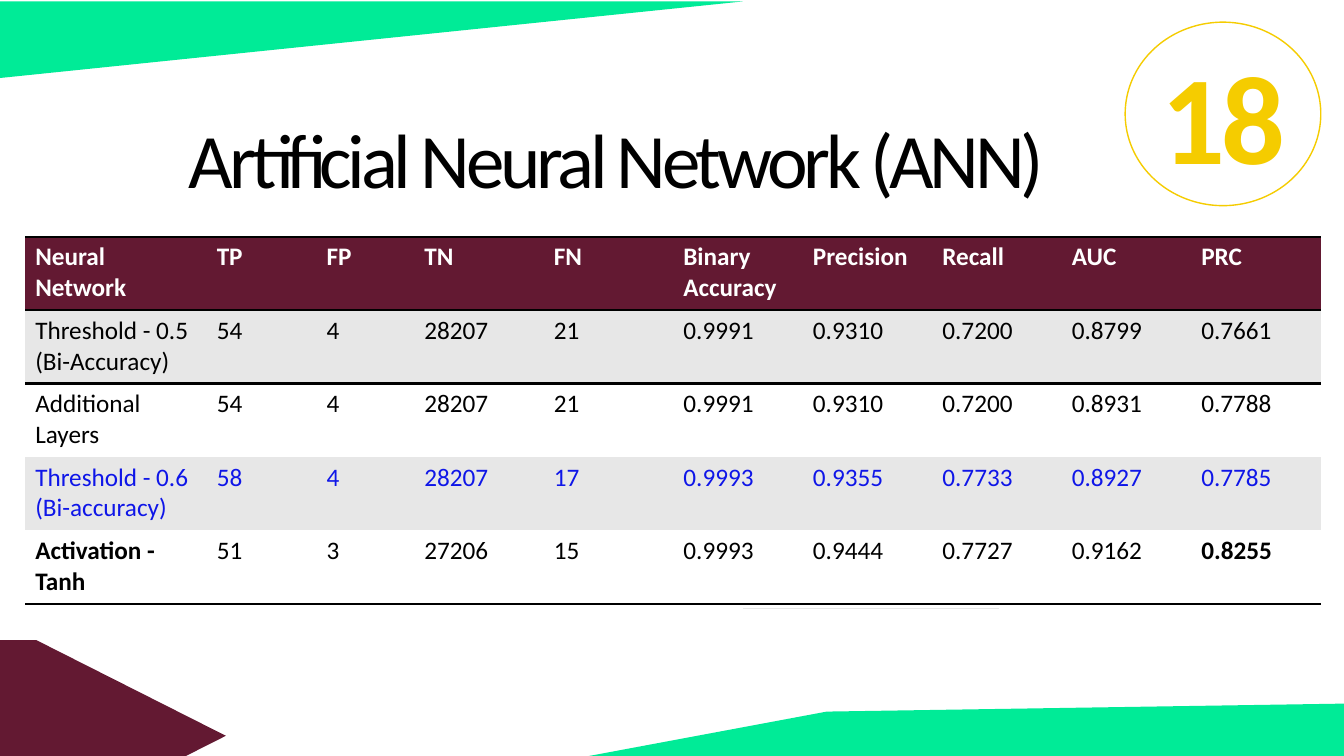
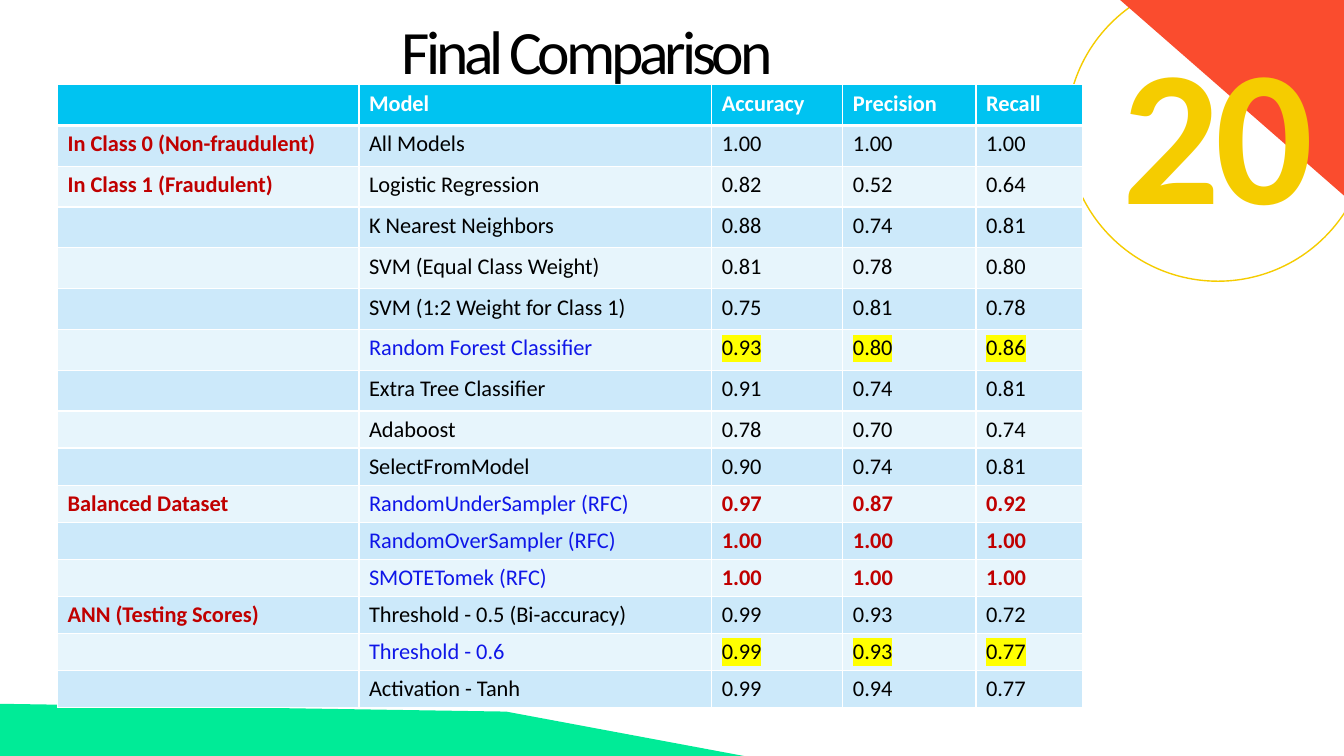
from pptx import Presentation
from pptx import util as u
from pptx.dml.color import RGBColor
from pptx.enum import shapes, text
from pptx.oxml.ns import qn
from lxml import etree


class Theme:
    font = "Calibri"
    black, white, blue, red = "000000", "FFFFFF", "0F16E8", "C00000"
    green, maroon, coral, gold = "00EB97", "631932", "FA4C2E", "F5CC00"
    cyan, sky, pale_sky, grey, yellow = "00C3F1", "CCE9FA", "E7F5FC", "E7E7E7", "FFFF00"
    size_ann_title, size_comparison_title = 55, 44
    size_ann_number, size_comparison_number = 90, 138
    size_ann_cell, size_comparison_cell = 18, 16
    tight = -300
    no_table_style = "{2D5ABB26-0587-4C30-8999-92F81FD0307C}"


def format_run(run, size, colour=Theme.black, bold=False, spacing=0, highlight=None):
    run.font.size = u.Pt(size)
    run.font.bold = bold
    run.font.color.rgb = RGBColor.from_string(colour)
    run.font.name = Theme.font
    properties = run.font._element
    if spacing:
        properties.set("spc", str(spacing))
    if highlight:
        marker = etree.Element(qn("a:highlight"))
        etree.SubElement(marker, qn("a:srgbClr"), val=highlight)
        properties.find(qn("a:solidFill")).addnext(marker)


def add_border(cell, side, colour, width):
    line = etree.SubElement(cell._tc.get_or_add_tcPr(), qn(f"a:ln{side}"), w=str(u.Pt(width)))
    fill = etree.SubElement(line, qn("a:solidFill"))
    etree.SubElement(fill, qn("a:srgbClr"), val=colour)


presentation = Presentation()
presentation.slide_width = u.Inches(13.33)
presentation.slide_height = u.Inches(7.5)
blank = presentation.slide_layouts[6]
ann = presentation.slides.add_slide(blank)
comparison = presentation.slides.add_slide(blank)

# Green bottom bands, the second mirrored
band = [(13.37, 7.51), (13.38, 6.98), (8.2, 7.06), (5.79, 7.51)]
mirrored_band = [(13.22 - x, y) for x, y in band]
for slide, points in ((ann, band), (comparison, mirrored_band)):
    corners = [(u.Inches(x), u.Inches(y)) for x, y in points]
    builder = slide.shapes.build_freeform(*corners[0], scale=1.0)
    builder.add_line_segments(corners[1:], close=True)
    shape = builder.convert_to_shape()
    shape.shadow.inherit = False
    shape.fill.solid()
    shape.fill.fore_color.rgb = RGBColor.from_string(Theme.green)
    shape.line.fill.background()

# Corner shapes and number rings
preset = shapes.MSO_SHAPE
decorations = [
    (ann, preset.PENTAGON, (-0.35, 6.35, 2.59, 1.9), 0, Theme.maroon),
    (ann, preset.RIGHT_TRIANGLE, (3.3, -3.29, 0.76, 7.37), 90, Theme.green),
    (ann, preset.OVAL, (11.16, 0.22, 1.94, 1.82), 0, None),
    (comparison, preset.OVAL, (10.58, -0.21, 3, 3), 0, None),
    (comparison, preset.RIGHT_TRIANGLE, (11.11, 0, 2.22, 1.94), 180, Theme.coral),
]
for slide, kind, box, rotation, colour in decorations:
    shape = slide.shapes.add_shape(kind, *map(u.Inches, box))
    shape.shadow.inherit = False
    shape.rotation = rotation
    if kind == preset.PENTAGON:
        shape.adjustments[0] = 0.99
    if colour:
        shape.fill.solid()
        shape.fill.fore_color.rgb = RGBColor.from_string(colour)
        shape.line.fill.background()
    else:
        shape.fill.background()
        shape.line.color.rgb = RGBColor.from_string(Theme.gold)
        shape.line.width = u.Pt(1)

# Hairline below the network table
hairline = ann.shapes.add_connector(
    shapes.MSO_CONNECTOR.STRAIGHT,
    u.Inches(7.37), u.Inches(6.04), u.Inches(9.91), u.Inches(6.04))
hairline.line.color.rgb = RGBColor.from_string(Theme.grey)
hairline.line.width = u.Pt(0.5)
etree.SubElement(hairline._element.spPr, qn("a:effectLst"))

# Titles and slide numbers
labels = [
    (ann, "Artificial Neural Network (ANN)", (1.16, 1.05, 9.91, 1.03),
     Theme.size_ann_title, Theme.black, False),
    (ann, "18", (11.35, 0.32, 1.57, 1.62), Theme.size_ann_number, Theme.gold, True),
    (comparison, "Final Comparison", (3.78, 0.07, 4.09, 0.84),
     Theme.size_comparison_title, Theme.black, False),
    (comparison, "20", (10.87, 0.05, 2.42, 2.42),
     Theme.size_comparison_number, Theme.gold, True),
]
for slide, words, box, size, colour, bold in labels:
    text_frame = slide.shapes.add_textbox(*map(u.Inches, box)).text_frame
    text_frame.word_wrap = True
    text_frame.vertical_anchor = text.MSO_ANCHOR.MIDDLE
    text_frame.text = words
    paragraph = text_frame.paragraphs[0]
    paragraph.alignment = text.PP_ALIGN.CENTER
    format_run(paragraph.runs[0], size, colour, bold, Theme.tight)

# Table contents
ann_rows = [
    ["Neural Network", "TP", "FP", "TN", "FN", "Binary Accuracy",
     "Precision", "Recall", "AUC", "PRC"],
    ["Threshold - 0.5\n(Bi-Accuracy)", "54", "4", "28207", "21",
     "0.9991", "0.9310", "0.7200", "0.8799", "0.7661"],
    ["Additional Layers", "54", "4", "28207", "21",
     "0.9991", "0.9310", "0.7200", "0.8931", "0.7788"],
    ["Threshold - 0.6\n(Bi-accuracy)", "58", "4", "28207", "17",
     "0.9993", "0.9355", "0.7733", "0.8927", "0.7785"],
    ["Activation - Tanh", "51", "3", "27206", "15",
     "0.9993", "0.9444", "0.7727", "0.9162", "0.8255"],
]
comparison_rows = [
    ["", "Model", "Accuracy", "Precision", "Recall"],
    ["In Class 0 (Non-fraudulent)", "All Models", "1.00", "1.00", "1.00"],
    ["In Class 1 (Fraudulent)", "Logistic Regression", "0.82", "0.52", "0.64"],
    ["", "K Nearest Neighbors", "0.88", "0.74", "0.81"],
    ["", "SVM (Equal Class Weight)", "0.81", "0.78", "0.80"],
    ["", "SVM (1:2 Weight for Class 1)", "0.75", "0.81", "0.78"],
    ["", "Random Forest Classifier", "0.93", "0.80", "0.86"],
    ["", "Extra Tree Classifier", "0.91", "0.74", "0.81"],
    ["", "Adaboost", "0.78", "0.70", "0.74"],
    ["", "SelectFromModel", "0.90", "0.74", "0.81"],
    ["Balanced Dataset", "RandomUnderSampler (RFC)", "0.97", "0.87", "0.92"],
    ["", "RandomOverSampler (RFC)", "1.00", "1.00", "1.00"],
    ["", "SMOTETomek (RFC)", "1.00", "1.00", "1.00"],
    ["ANN (Testing Scores)", "Threshold - 0.5 (Bi-accuracy)", "0.99", "0.93", "0.72"],
    ["", "Threshold - 0.6", "0.99", "0.93", "0.77"],
    ["", "Activation - Tanh", "0.99", "0.94", "0.77"],
]

# Emphasis by (row, column)
blue = {"colour": Theme.blue}
red_bold = {"colour": Theme.red, "bold": True}
marked = {"highlight": Theme.yellow}
ann_emphasis = {(3, column): blue for column in range(10)}
ann_emphasis.update({(4, column): {"bold": True} for column in (0, 9)})
comparison_emphasis = {(row, 0): red_bold for row in range(1, 16)}
for row, score_style in ((6, marked), (10, red_bold), (11, red_bold),
                         (12, red_bold), (14, marked)):
    comparison_emphasis[row, 1] = blue
    comparison_emphasis.update({(row, column): score_style for column in (2, 3, 4)})

# Tables
tables = [
    (ann, ann_rows, ann_emphasis, (0.25, 2.35), [1.8, 1.09, 0.97] + [8.99 / 7] * 7,
     [3.64 / 5] * 5, Theme.size_ann_cell, (Theme.maroon, Theme.grey, Theme.white)),
    (comparison, comparison_rows, comparison_emphasis, (0.57, 0.84),
     [2.99, 3.5, 1.3, 1.32, 1.06], [3.24 / 8] * 8 + [2.94 / 8] * 8,
     Theme.size_comparison_cell, (Theme.cyan, Theme.sky, Theme.pale_sky)),
]
for slide, rows, emphasis, corner, widths, heights, size, fills in tables:
    extent = (*corner, sum(widths), sum(heights))
    frame = slide.shapes.add_table(len(rows), len(widths), *map(u.Inches, extent))
    table = frame.table
    table._tbl.tblPr.find(qn("a:tableStyleId")).text = Theme.no_table_style
    for column, width in zip(table.columns, widths):
        column.width = u.Inches(width)
    for row, height in zip(table.rows, heights):
        row.height = u.Inches(height)
    header_fill, *band_fills = fills
    for r, values in enumerate(rows):
        for c, value in enumerate(values):
            cell = table.cell(r, c)
            if slide is comparison:
                for side in "LRTB":
                    width = 3 if (r, side) in ((0, "B"), (1, "T")) else 1
                    add_border(cell, side, Theme.white, width)
            else:
                if r < 2:
                    add_border(cell, "T", Theme.black, 2)
                if r in (0, len(rows) - 1):
                    add_border(cell, "B", Theme.black, 2)
            cell.fill.solid()
            fill = header_fill if r == 0 else band_fills[(r - 1) % 2]
            cell.fill.fore_color.rgb = RGBColor.from_string(fill)
            cell.text_frame.text = value
            header_style = {"colour": Theme.white, "bold": True}
            style = header_style if r == 0 else emphasis.get((r, c), {})
            for paragraph in cell.text_frame.paragraphs:
                for run in paragraph.runs:
                    format_run(run, size, **style)
                if not paragraph.runs:
                    etree.SubElement(paragraph._p, qn("a:endParaRPr"), sz=str(size * 100))

presentation.save("out.pptx")
